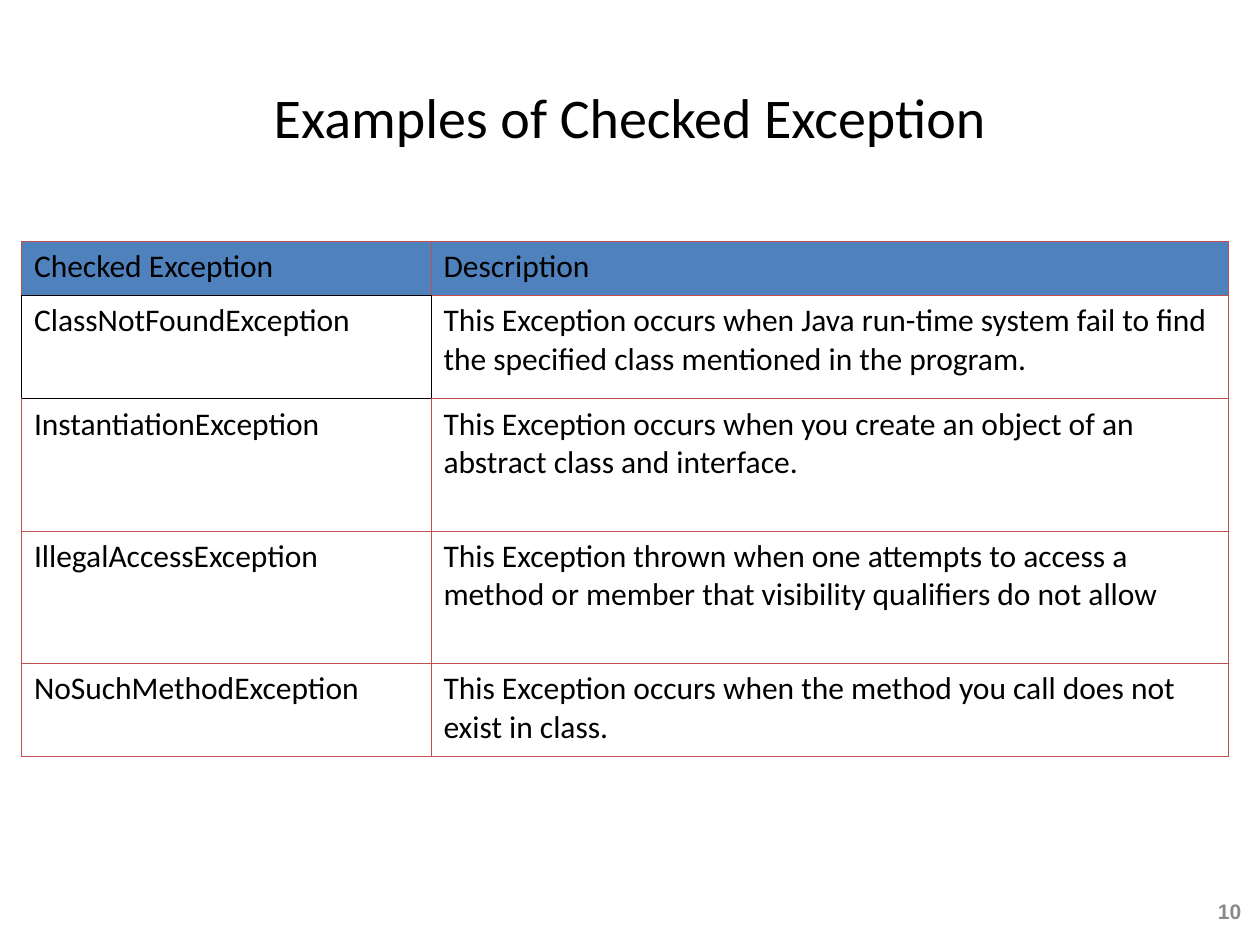
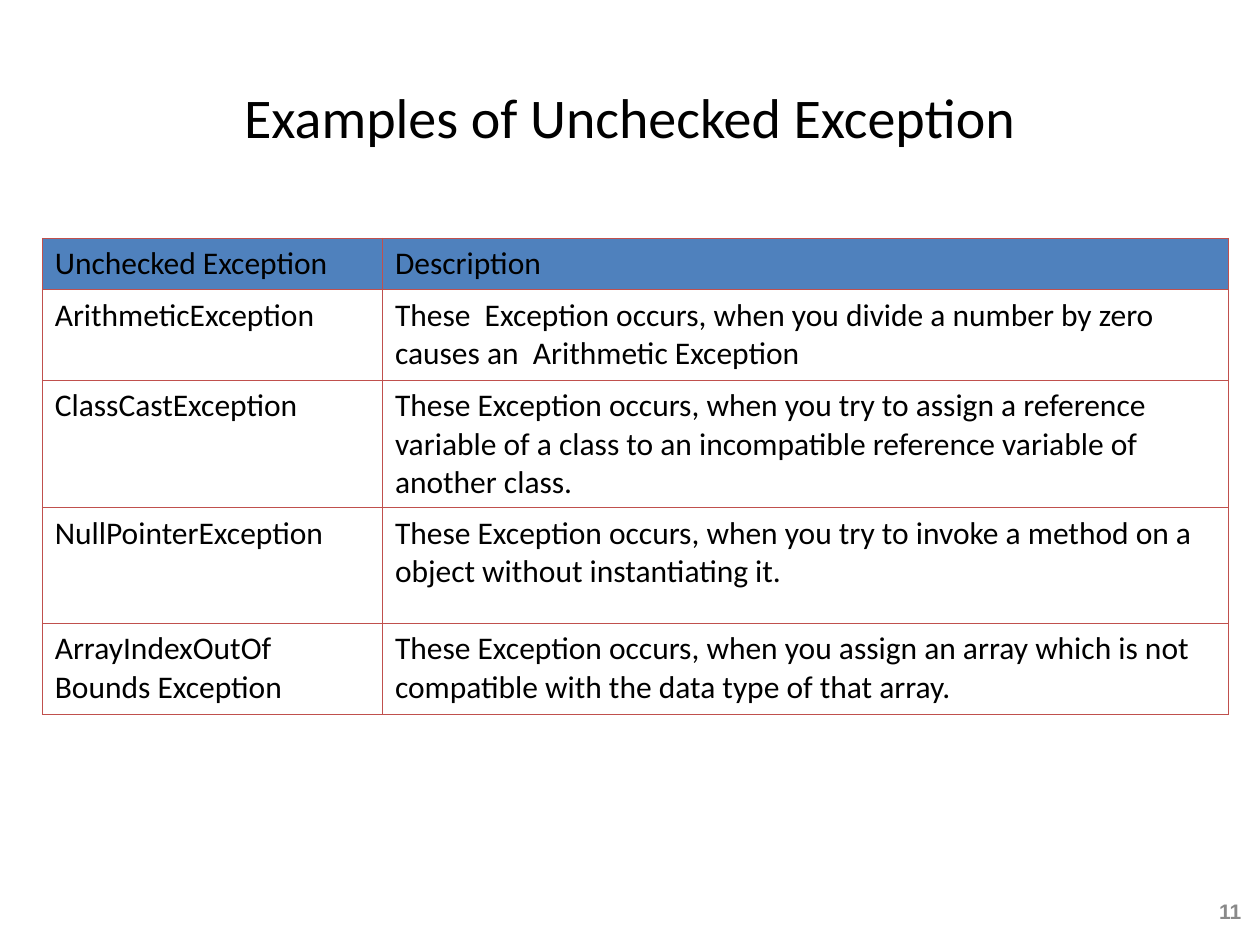
"""Build two slides that list checked and unchecked exceptions in tables."""
from dataclasses import dataclass
from lxml.etree import SubElement
from pptx import Presentation
from pptx.dml.color import RGBColor
from pptx.enum.text import MSO_ANCHOR, PP_ALIGN
from pptx.oxml.ns import qn
from pptx.util import Inches, Pt


@dataclass(frozen=True)
class Theme:
    ink: str = "000000"
    head: str = "4F81BD"
    rule: str = "C0504D"
    grey: str = "898989"
    face: str = "Calibri"
    digit: str = "Arial"
    title: int = 32
    body: int = 18
    small: int = 12
    line: float = 0.45


theme = Theme()


def style(frame, face, size, color, bold=False, align=PP_ALIGN.LEFT):
    for para in frame.paragraphs:
        para.alignment = align
        for run in para.runs:
            run.font.name = face
            run.font.size = Pt(size)
            run.font.bold = bold
            run.font.color.rgb = RGBColor.from_string(color)


def edge(cell, side, color):
    line = SubElement(cell._tc.get_or_add_tcPr(), qn(f"a:ln{side}"), w=str(Pt(theme.line)))
    fill = SubElement(line, qn("a:solidFill"))
    SubElement(fill, qn("a:srgbClr"), val=color)


pages = [
    {
        "title": "Examples of Checked Exception",
        "number": "10",
        "left": 1.7,
        "top": 19.15,
        "cols": [32.5, 63.3],
        "rows": [4.3, 8.2, 10.5, 10.5, 7.4],
        "dark": {(0, 0): "B", (1, 0): "LRTB", (1, 1): "L", (2, 0): "T"},
        "cells": [
            ("Checked Exception", "Description"),
            ("ClassNotFoundException",
             "This Exception occurs when Java run-time system fail to find "
             "the specified class mentioned in the program."),
            ("InstantiationException",
             "This Exception occurs when you create an object of an "
             "abstract class and interface."),
            ("IllegalAccessException",
             "This Exception thrown when one attempts to access a "
             "method or member that visibility qualifiers do not allow"),
            ("NoSuchMethodException",
             "This Exception occurs when the method you call does not "
             "exist in class."),
        ],
    },
    {
        "title": "Examples of Unchecked Exception",
        "number": "11",
        "left": 3.35,
        "top": 18.9,
        "cols": [27, 67.1],
        "rows": [4.1, 7.2, 10.1, 9.2, 7.2],
        "dark": {},
        "cells": [
            ("Unchecked Exception", "Description"),
            ("ArithmeticException",
             "These  Exception occurs, when you divide a number by zero "
             "causes an  Arithmetic Exception"),
            ("ClassCastException",
             "These Exception occurs, when you try to assign a reference "
             "variable of a class to an incompatible reference variable of "
             "another class."),
            ("NullPointerException",
             "These Exception occurs, when you try to invoke a method on a "
             "object without instantiating it."),
            ("ArrayIndexOutOf Bounds Exception",
             "These Exception occurs, when you assign an array which is not "
             "compatible with the data type of that array."),
        ],
    },
]

deck = Presentation()
deck.slide_width, deck.slide_height = Inches(10), Inches(7.5)
unit = deck.slide_width / 100

for page in pages:
    slide = deck.slides.add_slide(deck.slide_layouts[5])

    title = slide.shapes.title
    title.left, title.top, title.width, title.height = [
        int(n * unit) for n in (5, 3, 90, 12.5)]
    title.text_frame.text = page["title"]
    title.text_frame.vertical_anchor = MSO_ANCHOR.MIDDLE
    style(title.text_frame, theme.face, theme.title, theme.ink, align=PP_ALIGN.CENTER)

    box = slide.shapes.add_textbox(*[int(n * unit) for n in (94.6, 70.6, 4.9, 3.5)])
    box.text_frame.word_wrap = True
    box.text_frame.vertical_anchor = MSO_ANCHOR.MIDDLE
    box.text_frame.text = page["number"]
    style(box.text_frame, theme.digit, theme.small, theme.grey, True, PP_ALIGN.RIGHT)

    area = (page["left"], page["top"], sum(page["cols"]), sum(page["rows"]))
    table = slide.shapes.add_table(
        len(page["rows"]), len(page["cols"]), *[int(n * unit) for n in area]).table
    table.first_row = table.horz_banding = False
    for col, width in zip(table.columns, page["cols"]):
        col.width = int(width * unit)
    for row, height in zip(table.rows, page["rows"]):
        row.height = int(height * unit)

    for y, texts in enumerate(page["cells"]):
        for x, text in enumerate(texts):
            cell = table.cell(y, x)
            cell.text_frame.text = text
            style(cell.text_frame, theme.face, theme.body, theme.ink)
            dark = page["dark"].get((y, x), "")
            for side in "LRTB":
                edge(cell, side, theme.ink if side in dark else theme.rule)
            if y == 0:
                cell.fill.solid()
                cell.fill.fore_color.rgb = RGBColor.from_string(theme.head)
            else:
                cell.fill.background()

deck.save("out.pptx")
